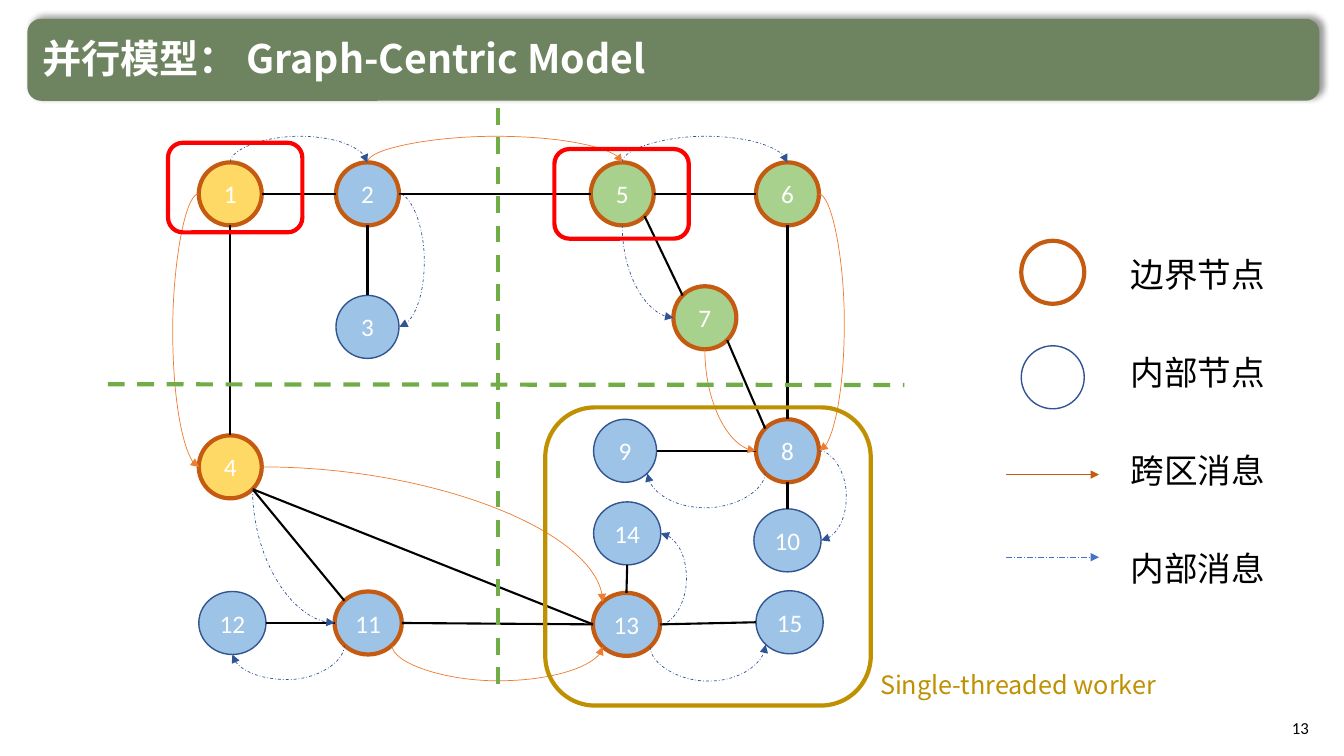
from lxml import etree
from pptx import Presentation
from pptx.dml.color import RGBColor
from pptx.enum.dml import MSO_LINE
from pptx.enum.shapes import MSO_CONNECTOR, MSO_SHAPE
from pptx.enum.text import MSO_ANCHOR, PP_ALIGN
from pptx.oxml.ns import qn
from pptx.util import Pt

OVAL, ROUND = MSO_SHAPE.OVAL, MSO_SHAPE.ROUNDED_RECTANGLE
LINE, CURVE = MSO_CONNECTOR.STRAIGHT, MSO_CONNECTOR.CURVE
DASH, DOT, LONG = MSO_LINE.DASH, MSO_LINE.DASH_DOT, MSO_LINE.LONG_DASH_DOT
LEFT, MID, RIGHT = PP_ALIGN.LEFT, PP_ALIGN.CENTER, PP_ALIGN.RIGHT

SANS, LATIN = "Noto Sans CJK SC", "Calibri"
BLACK, WHITE, RED = "000000", "FFFFFF", "FF0000"
GOLD, BLUE, GREEN = "FFD966", "9DC3E6", "A9D18E"
RIM, INNER, WORKER = "C55A11", "325491", "BF9000"
TITLE = "并行模型： Graph-Centric Model"
SIZE, BULGE = 45, 18

NODES = {
    1: (142, 116, 45, GOLD, True),
    2: (240, 116, 45, BLUE, True),
    3: (240, 211, 45, BLUE, False),
    5: (422, 116, 45, GREEN, True),
    6: (540, 116, 45, GREEN, True),
    7: (481, 204.5, 45, GREEN, True),
    8: (540, 299.5, 45, BLUE, True),
    9: (424, 299.5, 45, BLUE, False),
    4: (142, 311, 45, GOLD, True),
    12: (142, 422.5, 48, BLUE, False),
    11: (239, 422.5, 48, BLUE, True),
    15: (540, 422, 48, BLUE, False),
    13: (423.5, 423.5, 48, BLUE, True),
    14: (424, 358.5, 48, BLUE, False),
    10: (538.5, 363.5, 48, BLUE, False),
}
EDGES = [
    (1, "R", 2, "L"), (2, "B", 3, "T"), (1, "B", 4, "T"),
    (4, "BR", 11, "TL"), (4, "BR", 13, "L"), (11, "R", 13, "L"),
    (12, "R", 11, "L"), (13, "T", 14, "B"), (13, "R", 15, "L"),
    (9, "R", 8, "L"), (8, "B", 10, "T"), (2, "R", 5, "L"),
    (5, "R", 6, "L"), (6, "B", 8, "T"), (5, "BR", 7, "TL"),
    (7, "BR", 8, "TL"),
]
CROSS = [
    (1, "L", 4, "L"), (2, "T", 5, "T"), (6, "R", 8, "R"),
    (7, "B", 8, "L"), (4, "R", 13, "TL"), (11, "BR", 13, "BL"),
]
LOCAL = [
    (1, "T", 2, "T"), (2, "R", 3, "R"), (5, "T", 6, "T"),
    (5, "B", 7, "L"), (4, "BR", 11, "L"), (11, "BL", 12, "B"),
    (13, "R", 14, "R"), (8, "BL", 9, "BR"), (8, "R", 10, "R"),
    (13, "BR", 15, "BL"),
]
CUTS = [(355.5, 77, 355.5, 495), (77, 274.5, 646, 275)]
STARTS = [(120, 102), (396, 106.5)]
KEYS = ["边界节点", "内部节点", "跨区消息", "内部消息"]
RINGS = [(172, RIM, 3), (247, INNER, 1)]
ARROWS = [(398, "4472C4", LONG), (339, RIM, None)]
WAYS = {"L": (-1, 0), "R": (1, 0), "T": (0, -1), "B": (0, 1)}

deck = Presentation()
deck.slide_width, deck.slide_height = Pt(960), Pt(540)
slide = deck.slides.add_slide(deck.slide_layouts[5])
shapes = slide.shapes


def tint(code):
    return RGBColor.from_string(code)


def sub(node, tag, **attrs):
    return etree.SubElement(node, qn(tag), attrs)


def place(item, x, y, w, h):
    item.left, item.top, item.width, item.height = Pt(x), Pt(y), Pt(w), Pt(h)


def write(frame, text, size, face, color, align=LEFT, bold=False):
    frame.text = text
    para = frame.paragraphs[0]
    para.alignment = align
    font = para.font
    font.size, font.name, font.bold = Pt(size), face, bold
    font.color.rgb = tint(color)
    sub(para._p.pPr.find(qn("a:defRPr")), "a:ea", typeface=face)


def draw(kind, x, y, w, h, fill=None, rim=None, width=3):
    item = shapes.add_shape(kind, Pt(x), Pt(y), Pt(w), Pt(h))
    item.shadow.inherit = False
    if fill:
        item.fill.solid()
        item.fill.fore_color.rgb = tint(fill)
    else:
        item.fill.background()
    if rim:
        item.line.color.rgb = tint(rim)
        item.line.width = Pt(width)
    else:
        item.line.fill.background()
    return item


def label(x, y, w, h, text, size, face, color, align=LEFT, wrap=False):
    frame = shapes.add_textbox(Pt(x), Pt(y), Pt(w), Pt(h)).text_frame
    frame.word_wrap = wrap
    frame.vertical_anchor = MSO_ANCHOR.MIDDLE
    write(frame, text, size, face, color, align)


def link(kind, ends, color, width, dash=None, arrow=False):
    item = shapes.add_connector(kind, *[Pt(v) for v in ends])
    item.line.color.rgb = tint(color)
    item.line.width = Pt(width)
    if dash:
        item.line.dash_style = dash
    if arrow:
        sub(item.line._get_or_add_ln(), "a:tailEnd", type="triangle")
    sub(item._element.spPr, "a:effectLst")
    return item


def site(num, side):
    x, y, w = NODES[num][:3]
    reach = 0.5 if len(side) == 1 else 0.5 ** 1.5
    dx = sum(WAYS[c][0] for c in side)
    dy = sum(WAYS[c][1] for c in side)
    return x + w / 2 + dx * w * reach, y + SIZE / 2 + dy * SIZE * reach


def swing(src, out, dst, into, color, dash=None):
    (x1, y1), (x2, y2) = site(src, out), site(dst, into)
    side = out[0]
    loop = side == into[0]
    turn = side in "TB"
    dx, dy = x2 - x1, y2 - y1
    along, across = (dy, dx) if turn else (dx, dy)
    if abs(along) < 0.5:
        along = 0.5
    w, h = abs(along), abs(across)
    item = link(CURVE, (0, 0, 1, 1), color, 0.5, dash, True)
    place(item, (x1 + x2 - w) / 2, (y1 + y2 - h) / 2, w, h)
    props = item._element.spPr
    frame = props.find(qn("a:xfrm"))
    frame.set("rot", "16200000" if turn else "0")
    frame.set("flipH", str(int((along > 0) if turn else (along < 0))))
    frame.set("flipV", str(int(across < 0)))
    geom = props.find(qn("a:prstGeom"))
    if not loop:
        geom.set("prst", "curvedConnector2")
        return
    axis = int(turn)
    sign = WAYS[side][axis]
    far = max(sign * site(num, side)[axis] for num in (src, dst)) + BULGE
    ratio = (sign * far - (x1, y1)[axis]) / along
    sub(geom.find(qn("a:avLst")), "a:gd", name="adj1",
        fmla=f"val {round(ratio * 100000)}")


banner = draw(ROUND, 19.5, 13.5, 923, 58.5, "6E8360")
glow = sub(banner._element.spPr.find(qn("a:effectLst")), "a:outerShdw",
           blurRad=str(Pt(4)), dist=str(Pt(3)), dir="18900000", rotWithShape="0")
sub(sub(glow, "a:srgbClr", val=BLACK), "a:alpha", val="40000")
head = shapes.title
place(head, 23, 19, 797, 45)
head.text_frame.vertical_anchor = MSO_ANCHOR.MIDDLE
write(head.text_frame, TITLE, 28, SANS, WHITE, LEFT, True)
banner._element.addnext(head._element)
label(885, 505, 57, 29, "13", 12, LATIN, BLACK, RIGHT, True)

for num, (x, y, w, fill, edge) in NODES.items():
    node = draw(OVAL, x, y, w, SIZE, fill, RIM if edge else INNER, 3 if edge else 1)
    frame = node.text_frame
    frame.margin_left = frame.margin_right = 0
    frame.vertical_anchor = MSO_ANCHOR.MIDDLE
    write(frame, str(num), 18, LATIN, WHITE, MID)

for a, out, b, into in EDGES:
    link(LINE, site(a, out) + site(b, into), BLACK, 1.5)
for move in CROSS:
    swing(*move, "ED7D31")
for move in LOCAL:
    swing(*move, "2F5597", DOT)
for cut in CUTS:
    link(LINE, cut, "70AD47", 3, DASH)
for x, y in STARTS:
    draw(ROUND, x, y, 96, 64, rim=RED)

for y, rim, width in RINGS:
    draw(OVAL, 729.5, y, SIZE, SIZE, rim=rim, width=width)
for y, color, dash in ARROWS:
    link(LINE, (718.5, y, 785, y), color, 0.5, dash, True)
for i, key in enumerate(KEYS):
    label(800.5, 178 + 70 * i, 111.5, 36, key, 24, SANS, BLACK)

draw(ROUND, 389.5, 291, 232.5, 213, rim=WORKER)
label(621.5, 474, 219.5, 29, "Single-threaded worker", 18, SANS, WORKER)

deck.save("out.pptx")
